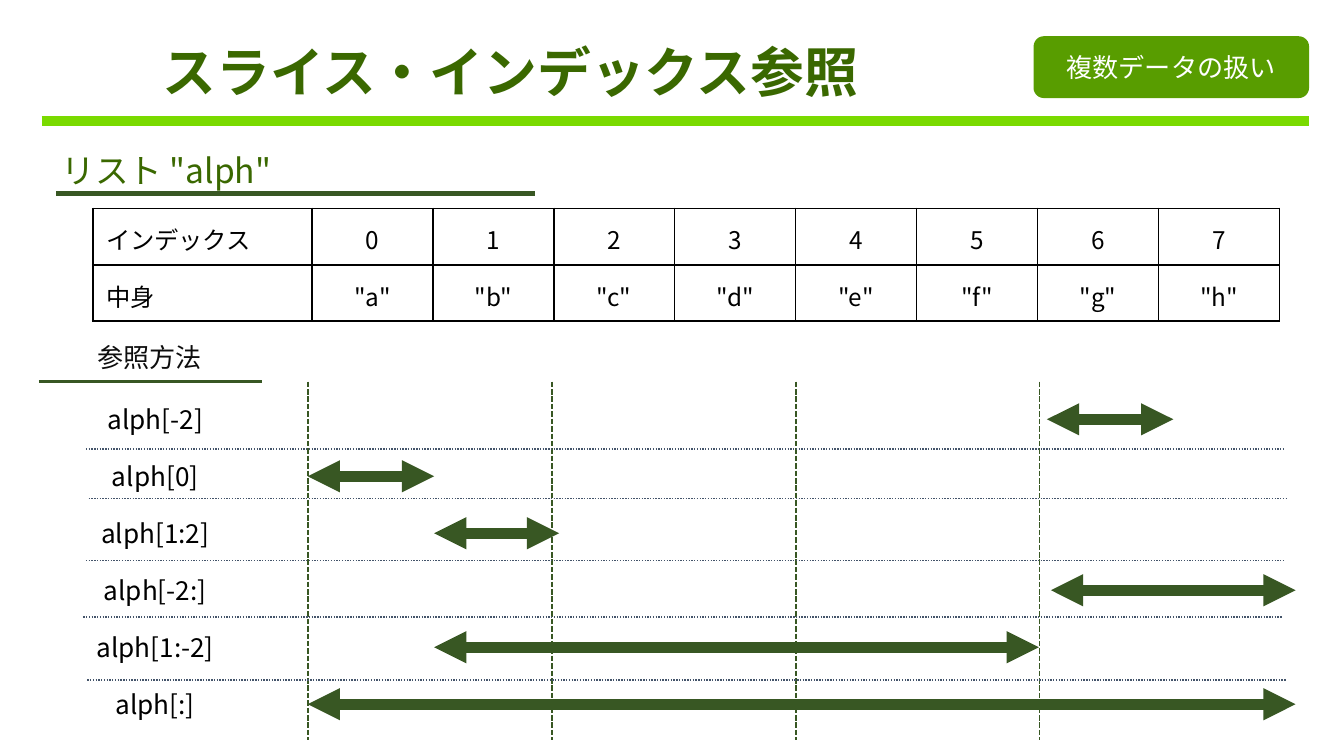
import pptx
import pptx.util
import pptx.dml.color
import pptx.enum.dml
import pptx.enum.shapes
import pptx.enum.text
import pptx.oxml
import pptx.oxml.ns

FONT = "Noto Sans CJK JP"
COLORS = {
    "rule": "7ADA00", "title": "3A6800", "tag": "589D00", "dark": "385723",
    "slate": "44546A", "ink": "0D0D0D", "black": "000000", "white": "FFFFFF",
}
ALIGN = pptx.enum.text.PP_ALIGN
DASH = pptx.enum.dml.MSO_LINE
SHAPE = pptx.enum.shapes.MSO_SHAPE


def rgb(name):
    return pptx.dml.color.RGBColor.from_string(COLORS[name])


def xml(tag, inner="", **attrs):
    """Make one DrawingML element."""
    text = "".join(f' {k}="{v}"' for k, v in attrs.items())
    ns = pptx.oxml.ns.nsdecls("a")
    return pptx.oxml.parse_xml(f"<a:{tag} {ns}{text}>{inner}</a:{tag}>")


def write(tf, text, size=14, color="black", bold=False, align=ALIGN.LEFT,
          spacing=None, wrap=True):
    """Put formatted text in a frame, centred vertically."""
    tf.word_wrap = wrap
    tf.vertical_anchor = pptx.enum.text.MSO_ANCHOR.MIDDLE
    p = tf.paragraphs[0]
    p.alignment = align
    if spacing:
        p.line_spacing = spacing
    r = p.add_run()
    r.text = text
    r.font.size = pptx.util.Pt(size)
    r.font.bold = bold
    r.font.color.rgb = rgb(color)
    r.font.name = FONT
    r._r.get_or_add_rPr().append(xml("ea", typeface=FONT))


class Deck:
    """Slide on a grid of 0.1 inch: 100 columns by 56.25 rows."""
    CELL = 0.1

    def __init__(self, cols, rows):
        self.prs = pptx.Presentation()
        self.prs.slide_width = self.at(cols)
        self.prs.slide_height = self.at(rows)
        self.s = self.prs.slides.add_slide(self.prs.slide_layouts[5])

    def at(self, cells):
        return pptx.util.Inches(cells * self.CELL)

    def box(self, *cells):
        return [self.at(c) for c in cells]

    def title(self, text, *place):
        sp = self.s.shapes.title
        sp.left, sp.top, sp.width, sp.height = self.box(*place)
        write(sp.text_frame, text, size=28.8, color="title", bold=True, spacing=0.9)

    def text(self, text, *place, inset=1, **style):
        tf = self.s.shapes.add_textbox(*self.box(*place)).text_frame
        tf.margin_left = tf.margin_right = self.at(1)
        tf.margin_top = tf.margin_bottom = self.at(inset)
        write(tf, text, **style)
        return tf

    def label(self, text, *place):
        tf = self.text(text, *place, inset=0.5, align=ALIGN.CENTER, wrap=False)
        tf.auto_size = pptx.enum.text.MSO_AUTO_SIZE.SHAPE_TO_FIT_TEXT

    def tag(self, text, *place):
        sp = self.s.shapes.add_shape(SHAPE.ROUNDED_RECTANGLE, *self.box(*place))
        sp.shadow.inherit = False
        sp.fill.solid()
        sp.fill.fore_color.rgb = rgb("tag")
        sp.line.fill.background()
        write(sp.text_frame, text, color="white", align=ALIGN.CENTER)

    def line(self, x1, y1, x2, y2, width, color="dark", dash=None, arrows=False):
        cn = self.s.shapes.add_connector(
            pptx.enum.shapes.MSO_CONNECTOR.STRAIGHT, *self.box(x1, y1, x2, y2))
        cn.line.width = pptx.util.Pt(width)
        cn.line.color.rgb = rgb(color)
        if dash:
            cn.line.dash_style = dash
        if arrows:
            for end in ("headEnd", "tailEnd"):
                cn.line._get_or_add_ln().append(xml(end, type="triangle"))
        cn._element.spPr.append(xml("effectLst"))

    def table(self, rows, left, top, widths, height):
        tb = self.s.shapes.add_table(
            len(rows), len(widths),
            *self.box(left, top, sum(widths), height * len(rows))).table
        tb.first_row = tb.horz_banding = False
        for col, width in zip(tb.columns, widths):
            col.width = self.at(width)
        for i, row in enumerate(rows):
            tb.rows[i].height = self.at(height)
            for j, value in enumerate(row):
                self.cell(tb.cell(i, j), value, ALIGN.CENTER if j else ALIGN.LEFT)

    def cell(self, cell, value, align):
        cell.margin_left = cell.margin_right = self.at(1)
        cell.margin_top = cell.margin_bottom = self.at(1)
        cell.vertical_anchor = pptx.enum.text.MSO_ANCHOR.MIDDLE
        fill = f'<a:solidFill><a:srgbClr val="{COLORS["black"]}"/></a:solidFill>'
        for side in "LRTB":
            cell._tc.get_or_add_tcPr().append(xml(f"ln{side}", fill, w=12700))
        cell.fill.solid()
        cell.fill.fore_color.rgb = rgb("white")
        write(cell.text_frame, value, size=13, align=align)


def main():
    d = Deck(100, 56.25)

    # Header
    d.line(3.1, 9, 97.4, 9, 5, "rule")
    d.title("スライス・インデックス参照", 11.1, 2.7, 86.2, 5.7)
    d.tag("複数データの扱い", 76.9, 2.7, 20.5, 4.6)

    # List with its indexes
    d.text('リスト "alph"', 3.6, 11.2, 38.6, 2.9, size=18, color="title")
    d.line(4.2, 14.4, 39.8, 14.4, 2.25)
    letters = "abcdefgh"
    d.table([["インデックス", *map(str, range(len(letters)))],
             ["中身", *(f'"{c}"' for c in letters)]],
            6.9, 15.5, [16.3] + [9] * len(letters), 4.2)

    # Heading of the reference methods
    d.text("参照方法", 5, 25.3, 12.3, 2.6, color="ink", align=ALIGN.CENTER)
    d.line(2.9, 28.4, 19.5, 28.4, 1.5)

    # Each expression and the span it selects
    spans = [("alph[-2]", 77.9, 87.3), ("alph[0]", 22.9, 32.3),
             ("alph[1:2]", 32.3, 41.6), ("alph[-2:]", 78.2, 96.4),
             ("alph[1:-2]", 32.3, 77.3), ("alph[:]", 22.9, 96.4)]
    for i, (code, start, end) in enumerate(spans):
        y = 31.2 + 4.24 * i
        d.label(code, 5.6, y - 1.7, 11.9, 3.4)
        d.line(start, y, end, y, 5.75, arrows=True)

    # Guides: every second index, and between expressions
    for i in range(4):
        x = 22.9 + 18.15 * i
        d.line(x, 28.4, x, 55.1, 1, dash=DASH.SQUARE_DOT)
    for x, y in [(6.4, 33.4), (6.6, 37.1), (6.4, 41.7), (6.2, 45.9), (6.5, 50.6)]:
        d.line(x, y, x + 89.2, y, 0.75, "slate", dash=DASH.ROUND_DOT)

    d.prs.save("out.pptx")


if __name__ == "__main__":
    main()
